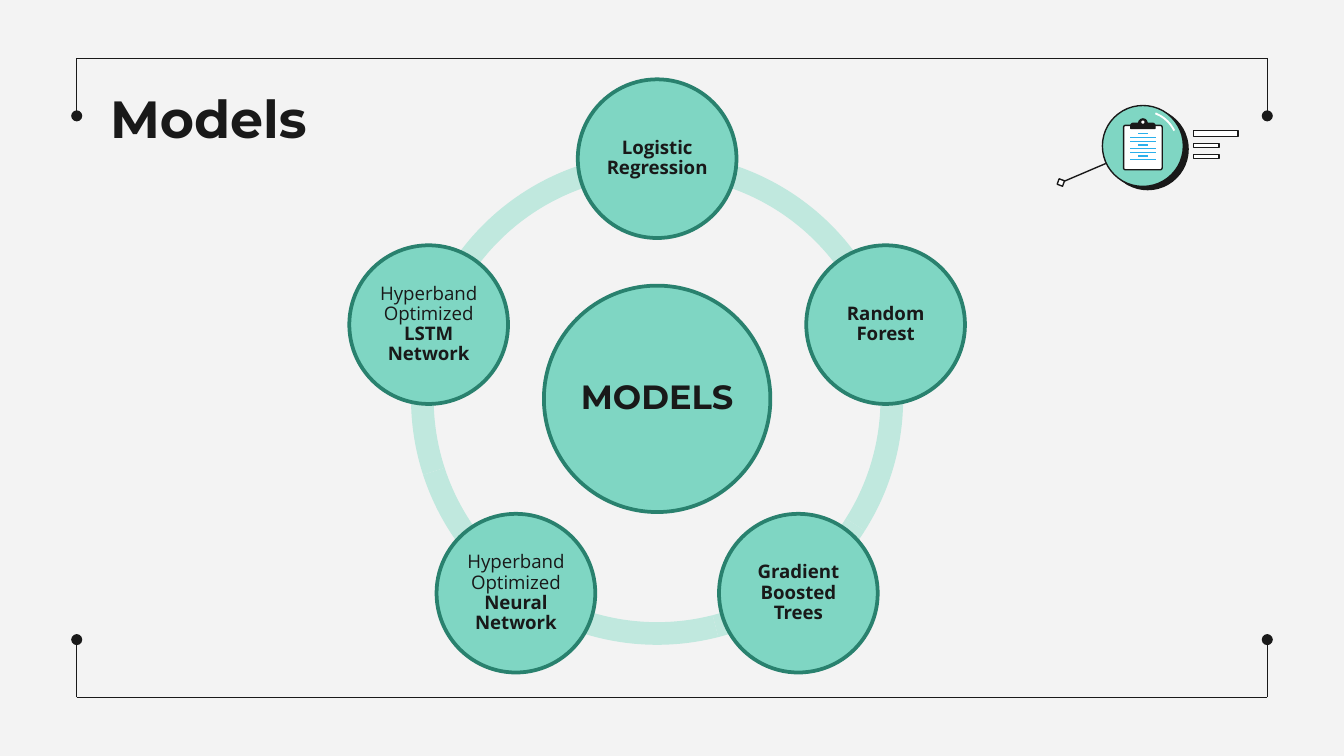
from dataclasses import dataclass
from math import cos, radians, sin
from typing import Optional

from lxml.etree import SubElement
from pptx import Presentation
from pptx.dml.color import RGBColor
from pptx.enum.shapes import MSO_CONNECTOR, MSO_SHAPE
from pptx.enum.text import MSO_ANCHOR, PP_ALIGN
from pptx.oxml.ns import qn
from pptx.util import Cm, Pt

COLORS = {
    "background": "F3F3F3",
    "ink": "191919",
    "mint": "7FD6C3",
    "ring": "C0E8DE",
    "rim": "29816E",
    "paper": "FFFFFF",
    "writing": "2AAFEB",
}
HEADING_FONT, BODY_FONT = "Montserrat", "Open Sans"
ANGLE_UNIT = 0.6  # adjustment value per degree


@dataclass(frozen=True)
class Model:
    name: str
    prefix: str = ""


@dataclass(frozen=True)
class Bar:
    top: float
    width: float
    height: float


MODELS = [
    Model("Logistic Regression"),
    Model("Random Forest"),
    Model("Gradient Boosted Trees"),
    Model("Neural Network", "Hyperband Optimized "),
    Model("LSTM Network", "Hyperband Optimized "),
]
BARS = [Bar(2.47, 0.84, 0.11), Bar(2.71, 0.48, 0.08), Bar(2.92, 0.48, 0.08)]


def color(key: str) -> RGBColor:
    return RGBColor.from_string(COLORS[key])


def draw_shape(kind: MSO_SHAPE, center_x: float, center_y: float, width: float,
               height: float, fill: Optional[str] = None,
               line: Optional[str] = None, weight: float = 0.75):
    """Draw a preset shape around its centre; lengths are centimetres."""
    shape = slide.shapes.add_shape(kind, Cm(center_x - width / 2), Cm(center_y - height / 2),
                                   Cm(width), Cm(height))
    shape.shadow.inherit = False
    if fill:
        shape.fill.solid()
        shape.fill.fore_color.rgb = color(fill)
    else:
        shape.fill.background()
    if line:
        shape.line.color.rgb = color(line)
        shape.line.width = Pt(weight)
    else:
        shape.line.fill.background()
    return shape


def draw_line(x1: float, y1: float, x2: float, y2: float, key: str = "ink",
              dot: bool = False) -> None:
    connector = slide.shapes.add_connector(MSO_CONNECTOR.STRAIGHT, Cm(x1), Cm(y1), Cm(x2), Cm(y2))
    connector.line.color.rgb = color(key)
    connector.line.width = Pt(0.75)
    if dot:
        SubElement(connector.line._get_or_add_ln(), qn("a:tailEnd"), type="oval")
    SubElement(connector._element.spPr, qn("a:effectLst"))


def style_font(paragraph, family: str, size: float) -> None:
    paragraph.font.name = family
    paragraph.font.size = Pt(size)
    paragraph.font.color.rgb = color("ink")


def draw_model(model: Model, center_x: float, center_y: float, diameter: float,
               family: str, size: float) -> None:
    circle = draw_shape(MSO_SHAPE.OVAL, center_x, center_y, diameter, diameter,
                        "mint", "rim", 2)
    frame = circle.text_frame
    frame.word_wrap = True
    frame.vertical_anchor = MSO_ANCHOR.MIDDLE
    frame.margin_left = frame.margin_right = 0
    frame.margin_top = frame.margin_bottom = 0
    label = frame.paragraphs[0]
    label.alignment = PP_ALIGN.CENTER
    label.line_spacing = 0.9
    style_font(label, family, size)
    if model.prefix:
        label.add_run().text = model.prefix
        name = label.add_run()
        name.text = model.name
        name.font.bold = True
    else:
        label.add_run().text = model.name
        label.font.bold = True


prs = Presentation()
prs.slide_width, prs.slide_height = Cm(25.4), Cm(14.29)
slide = prs.slides.add_slide(prs.slide_layouts[6])
slide.background.fill.solid()
slide.background.fill.fore_color.rgb = color("background")

# Frame: a bracket at the top and one at the bottom
LEFT, RIGHT = 1.45, 23.95
for edge_y, dot_y in ((1.1, 2.19), (13.18, 12.09)):
    draw_line(LEFT, edge_y, RIGHT, edge_y)
    for side_x in (LEFT, RIGHT):
        draw_line(side_x, edge_y, side_x, dot_y, dot=True)

# Icon: side bars and pointer
for bar in BARS:
    draw_shape(MSO_SHAPE.RECTANGLE, 22.56 + bar.width / 2, bar.top + bar.height / 2,
               bar.width, bar.height, "paper", "ink")
draw_line(20.9, 3.09, 20.08, 3.44)
pointer_end = draw_shape(MSO_SHAPE.RECTANGLE, 20.05, 3.45, 0.11, 0.11, "paper", "ink")
pointer_end.rotation = 20

# Icon: disc with its drop shade and highlight
DISC_X, DISC_Y, DISC = 21.6, 2.76, 1.53
draw_shape(MSO_SHAPE.OVAL, DISC_X + 0.09, DISC_Y + 0.06, DISC, DISC, "ink", "ink")
draw_shape(MSO_SHAPE.OVAL, DISC_X, DISC_Y, DISC, DISC, "mint", "ink")
highlight = draw_shape(MSO_SHAPE.ARC, DISC_X, DISC_Y, 1.32, 1.32, line="paper", weight=1)
highlight.adjustments[0] = 291 * ANGLE_UNIT
highlight.adjustments[1] = 334 * ANGLE_UNIT

# Icon: clipboard
board = draw_shape(MSO_SHAPE.ROUNDED_RECTANGLE, DISC_X, 2.79, 0.73, 0.84, "paper", "ink")
board.adjustments[0] = 0.05
clip = draw_shape(MSO_SHAPE.ROUND_2_SAME_RECTANGLE, DISC_X, 2.38, 0.46, 0.1, "ink", "ink")
clip.adjustments[0] = 0.5
draw_shape(MSO_SHAPE.OVAL, DISC_X, 2.33, 0.19, 0.19, "ink")
draw_shape(MSO_SHAPE.OVAL, DISC_X, 2.31, 0.06, 0.06, "paper")
for row in range(8):
    half = 0.09 if row % 3 == 0 else 0.24
    row_y = 2.53 + 0.07 * row
    draw_line(DISC_X - half, row_y, DISC_X + half, row_y, "writing")

# Title
title = slide.shapes.add_textbox(Cm(1.83), Cm(1.38), Cm(21.41), Cm(1.6)).text_frame
title.word_wrap = True
title.margin_left = title.margin_right = Cm(0.25)
title.margin_top = title.margin_bottom = Cm(0.25)
title.text = "Models"
style_font(title.paragraphs[0], HEADING_FONT, 28)
title.paragraphs[0].font.bold = True

# Ring of arcs
HUB_X, HUB_Y, RING, ORBIT = 12.42, 7.54, 9.3, 4.54
ARC_BOUNDS = [205.2, 32.4, 75.6, 118.8, 162, 205.2]
for start, end in zip(ARC_BOUNDS, ARC_BOUNDS[1:]):
    arc = draw_shape(MSO_SHAPE.BLOCK_ARC, HUB_X, HUB_Y, RING, RING, "ring")
    arc.adjustments[0] = start * ANGLE_UNIT
    arc.adjustments[1] = end * ANGLE_UNIT
    arc.adjustments[2] = 0.046

# Hub and models, clockwise from the top
draw_model(Model("MODELS"), HUB_X, HUB_Y, 4.28, HEADING_FONT, 18)
for index, model in enumerate(MODELS):
    angle = radians(360 / len(MODELS) * index)
    draw_model(model, HUB_X + ORBIT * sin(angle), HUB_Y - ORBIT * cos(angle),
               3, BODY_FONT, 10)

prs.save("out.pptx")
